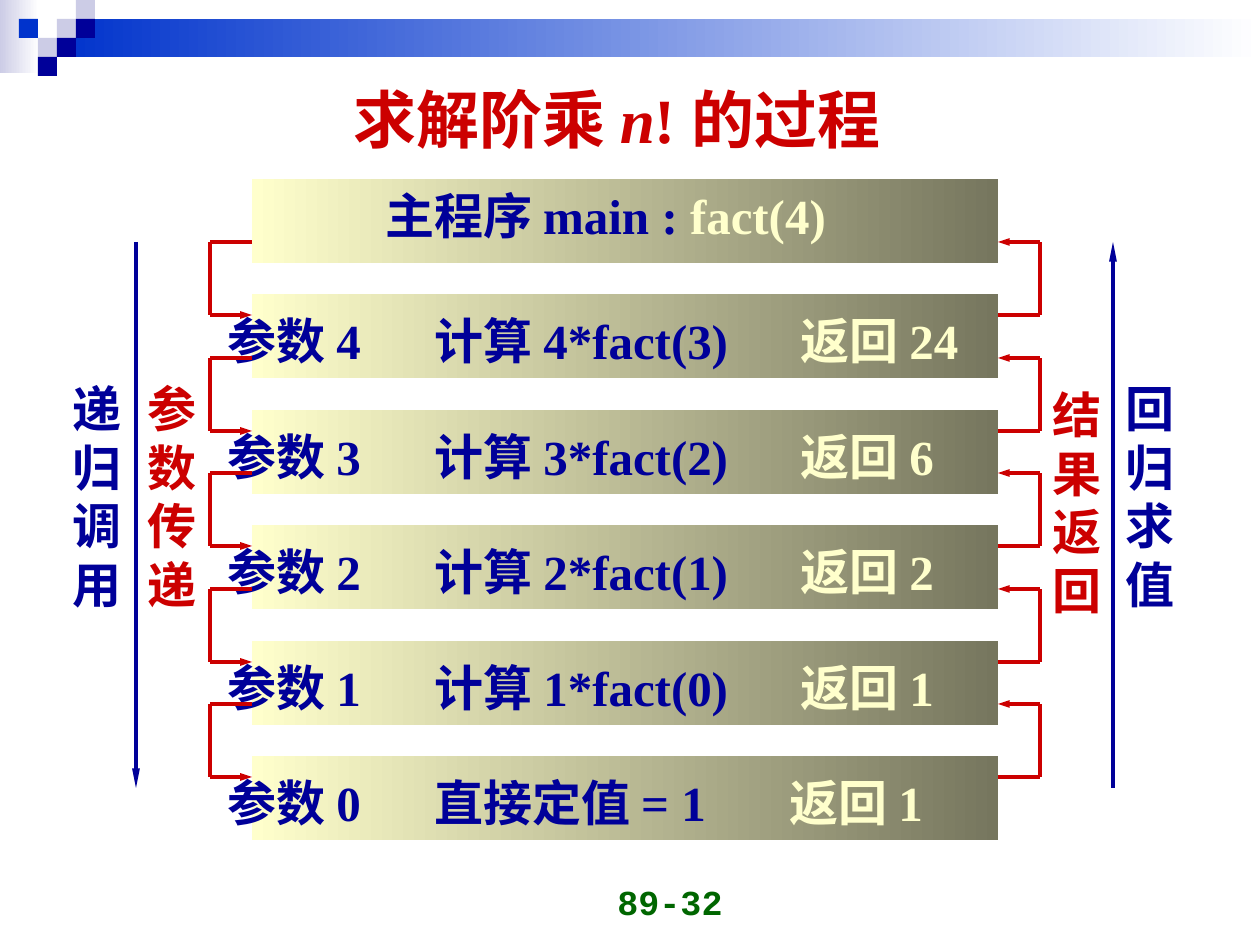
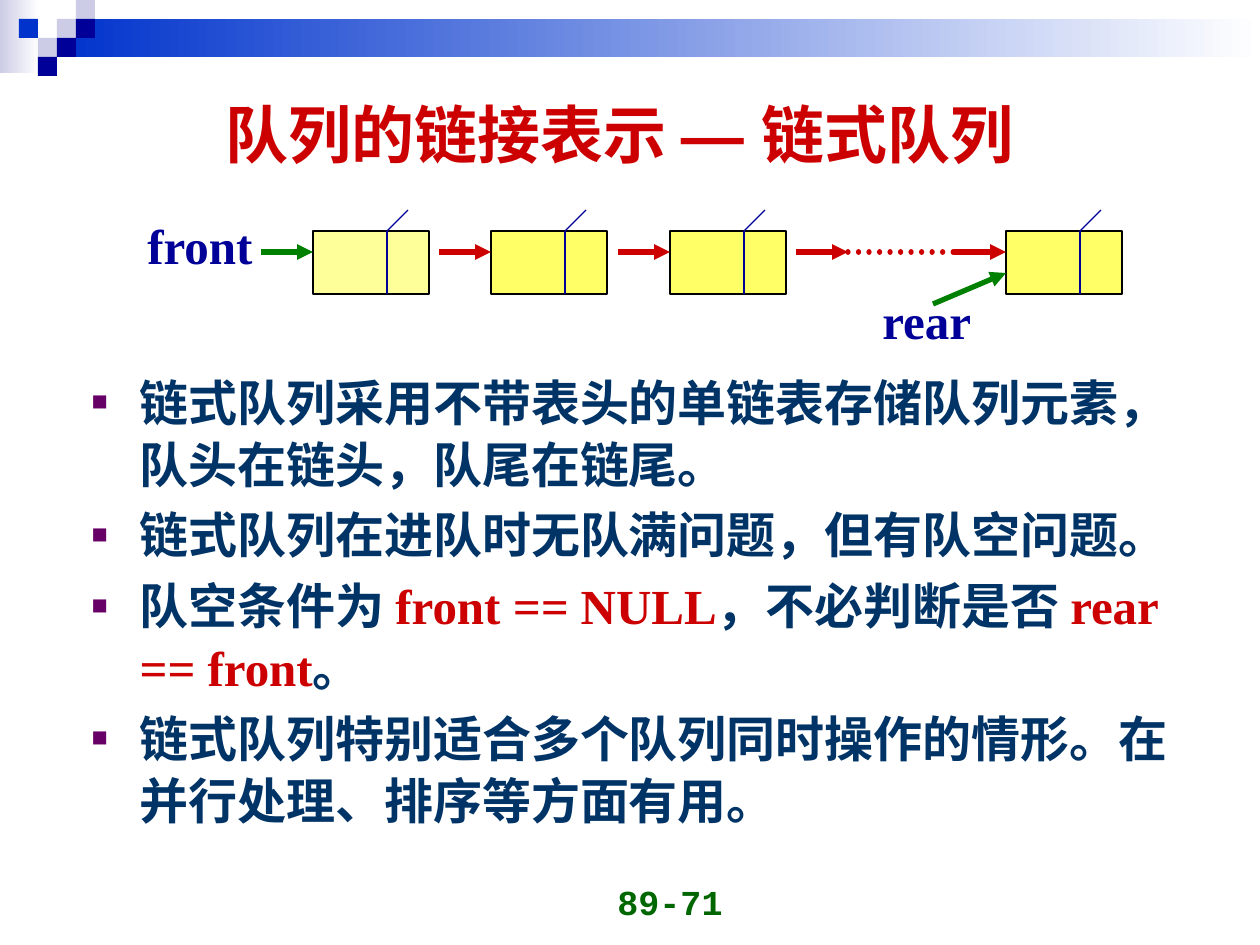
from lxml import etree
from pptx import Presentation
from pptx import util as u
from pptx.dml import color as dml
from pptx.enum import dml as dash, shapes, text
from pptx.oxml import ns

COLORS = {
    "navy": "000099", "blue": "0033CC", "lilac": "CCCCE6", "white": "FFFFFF",
    "red": "CC0000", "green": "008000", "page": "006600", "cream": "FFFFCC",
    "olive": "76765E", "body": "003366", "bullet": "660066", "black": "000000",
    "head": "FFFF99", "node": "FFFF66",
}
SERIF, SANS, CJK, MONO = "Times New Roman", "Arial", "Noto Sans CJK SC", "Courier New"
SCALE = 914400 / 126  # EMU in one px


def px(*lengths):
    return [u.Emu(round(length * SCALE)) for length in lengths]


def rgb(name):
    return dml.RGBColor.from_string(COLORS[name])


def add_xml(parent, tag, **attributes):
    return etree.SubElement(parent, ns.qn(tag), attributes)


def add_span(para, words, color, size=28, font=SERIF, east=CJK, italic=False):
    span = para.add_run()
    span.text = words
    span.font.size, span.font.bold = u.Pt(size), True
    if italic:
        span.font.italic = True
    span.font.color.rgb = rgb(color)
    span.font.name = font
    add_xml(span._r.get_or_add_rPr(), "a:ea", typeface=east)


def add_text(page, box, words, color, wrap=True, **style):
    label = page.shapes.add_textbox(*px(*box))
    label.text_frame.word_wrap = wrap
    para = label.text_frame.paragraphs[0]
    if words:
        add_span(para, words, color, **style)
    return label.text_frame, para


def add_rect(page, box, *fill, outline=None):
    """One fill colour is solid, two run from left to right."""
    rect = page.shapes.add_shape(shapes.MSO_SHAPE.RECTANGLE, *px(*box))
    rect.shadow.inherit = False
    if len(fill) == 1:
        rect.fill.solid()
        rect.fill.fore_color.rgb = rgb(fill[0])
    else:
        rect.fill.gradient()
        rect.fill.gradient_angle = 0
        for stop, name in zip(rect.fill.gradient_stops, fill):
            stop.color.rgb = rgb(name)
    if outline:
        rect.line.color.rgb = rgb(outline)
        rect.line.width = u.Pt(0.75)
    else:
        rect.line.fill.background()


def add_line(page, start, end, color, width, arrow=None, dotted=False):
    """arrow is the (width, length) of the head at the end."""
    line = page.shapes.add_connector(shapes.MSO_CONNECTOR.STRAIGHT, *px(*start, *end))
    line.line.color.rgb = rgb(color)
    line.line.width = u.Pt(width)
    outline = line.get_or_add_ln()
    if dotted:
        line.line.dash_style = dash.MSO_LINE.ROUND_DOT
        outline.set("cap", "rnd")
    if arrow:
        add_xml(outline, "a:tailEnd", type="triangle", w=arrow[0], len=arrow[1])
    add_xml(line._element.spPr, "a:effectLst")


# Parts shared by all slides
def add_band(page):
    add_rect(page, (0, 0, 39, 73), "lilac", "white")
    add_rect(page, (57, 19, 1203, 38), "blue", "white")
    cell = 19
    checks = [(3, 1, "lilac"), (4, 0, "lilac"), (4, 1, "navy"), (2, 2, "lilac"),
              (1, 1, "blue"), (3, 2, "navy"), (2, 3, "navy")]
    for column, row, color in checks:
        add_rect(page, (column * cell, row * cell, cell, cell), color)


def add_page(deck, layout, number, title_box, title_spans):
    page = deck.slides.add_slide(deck.slide_layouts[layout])
    add_band(page)
    frame, para = add_text(page, (441, 866, 294, 63), number, "page", size=20, font=MONO)
    frame.vertical_anchor = text.MSO_ANCHOR.BOTTOM
    para.alignment = text.PP_ALIGN.RIGHT

    title = page.shapes.title
    title.left, title.top, title.width, title.height = px(*title_box)
    frame = title.text_frame
    frame.auto_size = text.MSO_AUTO_SIZE.NONE
    frame.vertical_anchor = text.MSO_ANCHOR.MIDDLE
    para = frame.paragraphs[0]
    para.alignment = text.PP_ALIGN.CENTER
    for words, style in title_spans:
        add_span(para, words, "red", size=36, **style)
    return page


# Recursion slide
def add_call(page, box, parts, stops):
    """A bar with parameter, calculation and returned value at tab stops."""
    left, top, width, height = box
    add_rect(page, box, "cream", "olive")
    _, para = add_text(page, (left - 37, top + 10, width + 60, 72), "", "navy")
    tabs = add_xml(para._p.get_or_add_pPr(), "a:tabLst")
    for stop in px(*stops):
        add_xml(tabs, "a:tab", pos=str(stop), algn="l")
    add_span(para, "\t".join(parts[:2]) + "\t", "navy")
    add_span(para, parts[2], "cream")


def add_hook(page, edge, bend, start, end):
    """A bracket beside the bars, with its arrow at the end height."""
    add_line(page, (edge, start), (bend, start), "red", 2.25)
    add_line(page, (bend, start), (bend, end), "red", 2.25)
    add_line(page, (bend, end), (edge, end), "red", 2.25, arrow=("sm", "med"))


def add_recursion(page, box):
    left, top, width, height = box
    right = left + width
    add_rect(page, box, "cream", "olive")
    _, para = add_text(page, (left + 121, top, 478, 72), "主程序 main : ", "navy", wrap=False)
    add_span(para, "fact(4)", "cream")

    results = {4: 24, 3: 6, 2: 2, 1: 1, 0: 1}
    for row, (number, result) in enumerate(results.items(), start=1):
        bar_top = top + 231 * row // 2
        step = f"计算 {number}*fact({number - 1})" if number else "直接定值 = 1"
        add_call(page, (left, bar_top, width, height),
                 (f"参数 {number}", step, f"返回 {result}"),
                 (207, 573 if number else 562))
        upper, lower = bar_top - 52, bar_top + 21
        add_hook(page, left, left - 42, upper, lower)
        add_hook(page, right, right + 42, lower, upper)

    # Captions and long arrows at the sides
    for x, y, caption_width, caption, color in [
            (135, 372, 86, "参数传递", "red"), (1040, 378, 76, "结果返回", "red"),
            (60, 372, 86, "递归调用", "navy"), (1113, 372, 86, "回归求值", "navy")]:
        add_text(page, (x, y, caption_width, 248), caption, color)
    for x, start, end in [(136, 242, 788), (1113, 788, 242)]:
        add_line(page, (x, start), (x, end), "navy", 2.25, arrow=("sm", "lg"))


# Linked queue slide
def add_node(page, left, top, fill, arrow_color):
    add_rect(page, (left, top, 116, 63), fill, outline="black")
    divider = left + 74
    add_line(page, (divider, top), (divider, top + 63), "navy", 0.75)
    add_line(page, (divider, top), (divider + 21, top - 21), "navy", 0.75)
    add_link(page, left, top + 21, arrow_color)


def add_link(page, end, y, color):
    add_line(page, (end - 52, y), (end, y), color, 3, arrow=("med", "med"))


def add_queue(page, left, top):
    first, second, third, gap_start = [left + 357 * step // 2 for step in range(4)]
    last, link_y = left + 693, top + 21
    add_node(page, first, top, "head", "green")
    for node in (second, third, last):
        add_node(page, node, top, "node", "red")
    add_link(page, gap_start, link_y, "red")
    add_line(page, (gap_start, link_y), (last - 52, link_y), "red", 3, dotted=True)
    add_line(page, (last - 73, top + 73), (last, top + 42), "green", 3, arrow=("med", "med"))
    add_text(page, (left - 178, top - 22, 131, 72), "front", "navy", wrap=False)
    add_text(page, (last - 136, top + 53, 115, 72), "rear", "navy", wrap=False)


def add_list(page, box, items):
    body = page.placeholders[1]
    body.left, body.top, body.width, body.height = px(*box)
    frame = body.text_frame
    frame.auto_size = text.MSO_AUTO_SIZE.NONE
    indent = px(48)[0]
    for index, item in enumerate(items):
        para = frame.add_paragraph() if index else frame.paragraphs[0]
        para.line_spacing = 1.05
        para.space_before = u.Pt(5.2 if index else 0)
        props = para._p.get_or_add_pPr()
        props.set("marL", str(indent))
        props.set("indent", str(-indent))
        add_xml(add_xml(props, "a:buClr"), "a:srgbClr", val=COLORS["bullet"])
        add_xml(props, "a:buSzPct", val="55000")
        add_xml(props, "a:buFont", typeface=SANS)
        add_xml(props, "a:buChar", char="■")
        for words, color, italic in item:
            add_span(para, words, color, italic=italic)


def plain(words):
    return words, "body", False


def main():
    deck = Presentation()
    deck.slide_width, deck.slide_height = px(1260, 945)

    page = add_page(deck, 5, "89-32", (277, 71, 680, 95),
                    [("求解阶乘 ", {}), ("n", {"italic": True}), ("! 的过程", {})])
    add_recursion(page, (252, 179, 746, 84))

    page = add_page(deck, 1, "89-71", (84, 86, 1071, 95),
                    [("队列的链接表示 ", {"font": CJK}),
                     ("— ", {"font": SANS, "east": SANS}),
                     ("链式队列", {"font": CJK})])
    add_queue(page, 313, 231)
    add_list(page, (79, 363, 1134, 507), [
        [plain("链式队列采用不带表头的单链表存储队列元素，队头在链头，队尾在链尾。")],
        [plain("链式队列在进队时无队满问题，但有队空问题。")],
        [plain("队空条件为 "), ("front ", "red", False), ("==", "red", True),
         (" NULL", "red", False), plain("，不必判断是否 "),
         ("rear == front", "red", False), plain("。")],
        [plain("链式队列特别适合多个队列同时操作的情形。在并行处理、排序等方面有用。")],
    ])
    deck.save("out.pptx")


if __name__ == "__main__":
    main()
